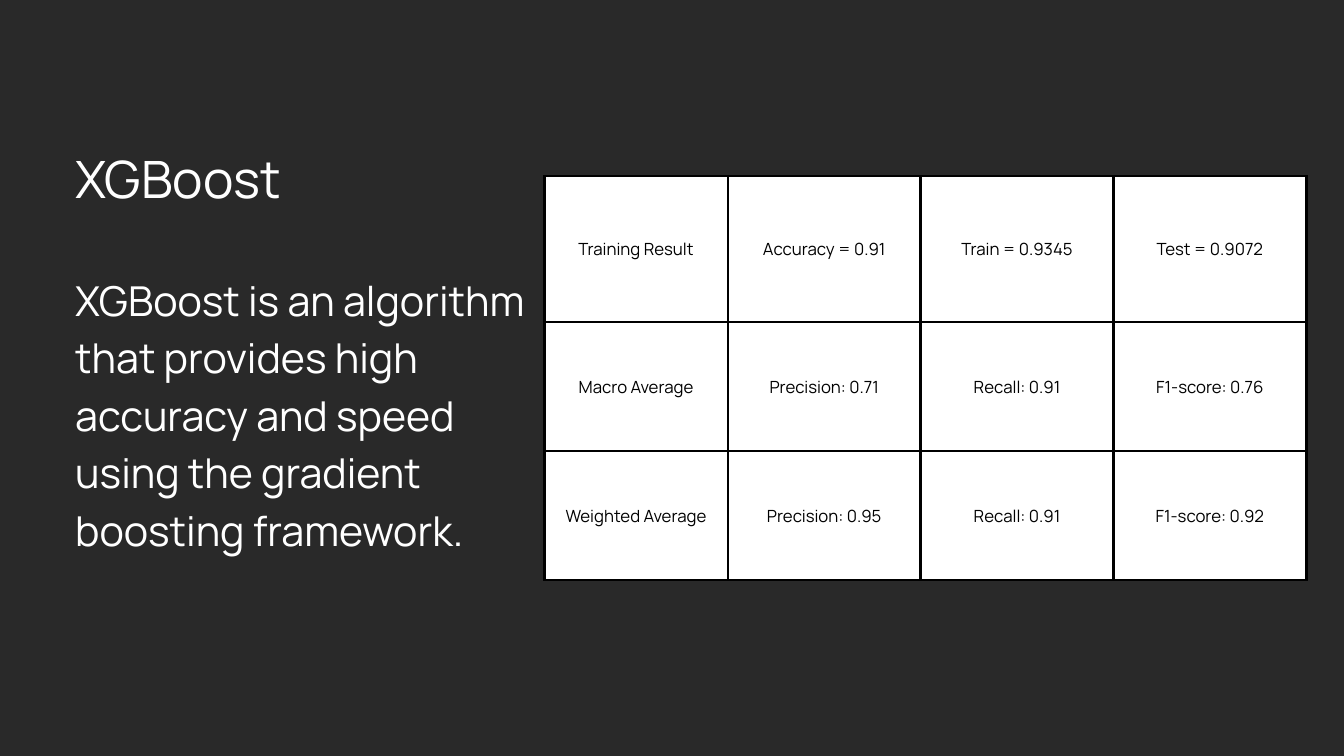
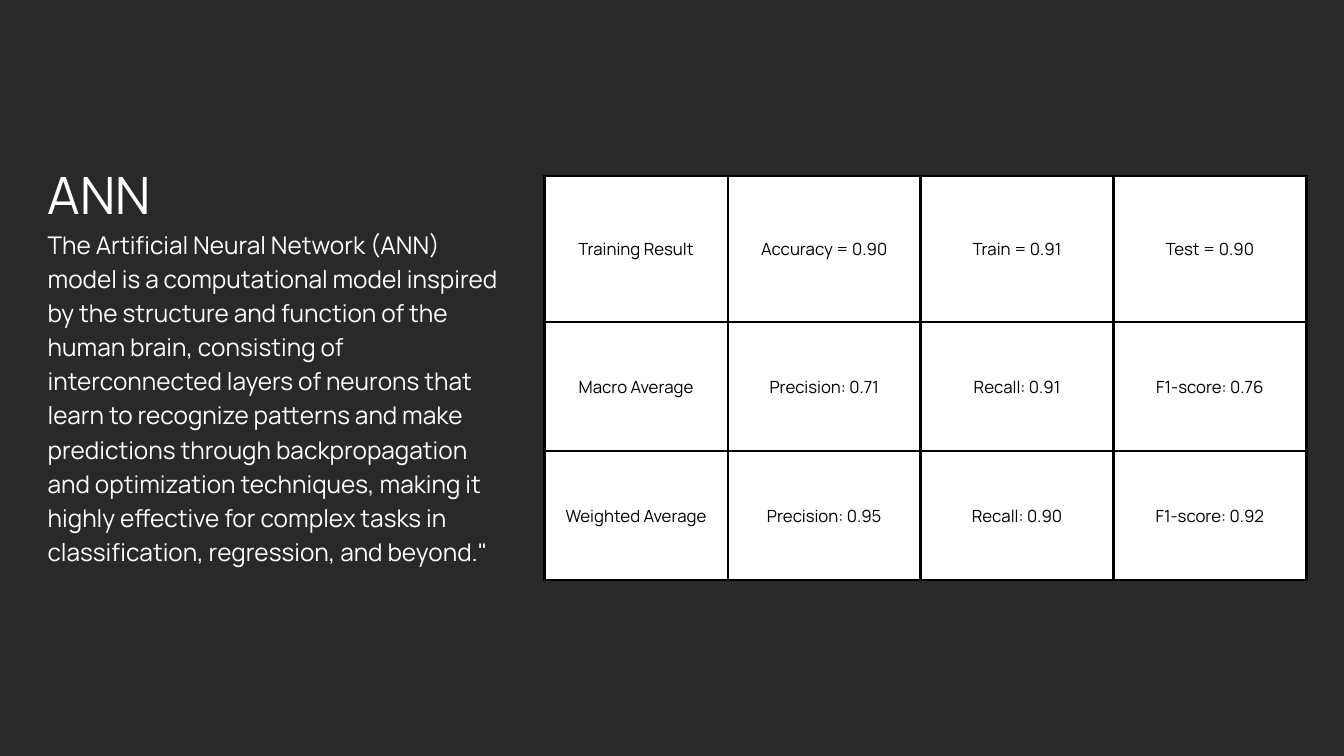
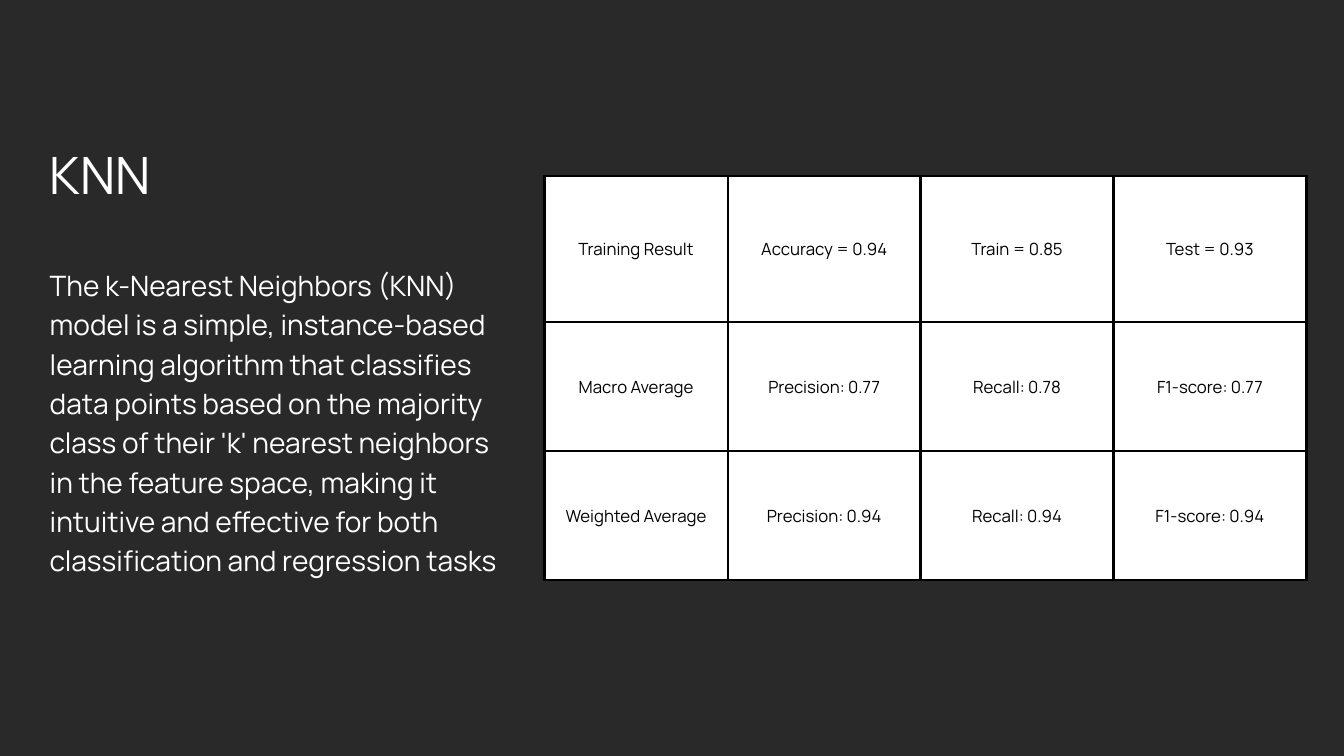
from lxml import etree
from pptx import Presentation
from pptx.dml.color import RGBColor
from pptx.enum.text import MSO_ANCHOR, MSO_AUTO_SIZE, PP_ALIGN
from pptx.oxml.ns import qn
from pptx.util import Inches, Pt

MIDDLE = MSO_ANCHOR.MIDDLE
GROW = MSO_AUTO_SIZE.SHAPE_TO_FIT_TEXT
LEFT, CENTER = PP_ALIGN.LEFT, PP_ALIGN.CENTER

COLORS = {"background": "292929", "text": "FFFFFF", "cell": "FFFFFF",
          "cell_text": "000000", "border": "000000"}
FONT = "Manrope"
LEADING = 1.4
TITLE_SIZE = 55.1
CELL_SIZE = 18
TITLE_GAP = 61.7
DESCRIPTION_WIDTH = 6.77

TABLE_BOX = (8.1, 2.62, 11.33, 6.01)
COLUMN_WIDTHS = [2.73, 2.87, 2.87, 2.87]
ROW_HEIGHTS = [2.17, 1.92, 1.92]
CELL_MARGIN = 0.21
BORDER_WIDTH = 3

ROW_LABELS = ["Training Result", "Macro Average", "Weighted Average"]
METRIC_FORMATS = [
    ["Accuracy = {}", "Train = {}", "Test = {}"],
    ["Precision: {}", "Recall: {}", "F1-score: {}"],
    ["Precision: {}", "Recall: {}", "F1-score: {}"],
]

MODELS = [
    {
        "title": "XGBoost",
        "description": "XGBoost is an algorithm that provides high accuracy and speed "
                       "using the gradient boosting framework.",
        "size": 44.1, "gap": TITLE_GAP, "left": 1.12, "top": 2.04, "height": 7.03,
        "scores": [["0.91", "0.9345", "0.9072"],
                   ["0.71", "0.91", "0.76"],
                   ["0.95", "0.91", "0.92"]],
    },
    {
        "title": "ANN",
        "description": "The Artificial Neural Network (ANN) model is a computational model "
                       "inspired by the structure and function of the human brain, "
                       "consisting of interconnected layers of neurons that learn to "
                       "recognize patterns and make predictions through backpropagation "
                       "and optimization techniques, making it highly effective for "
                       "complex tasks in classification, regression, and beyond.\"",
        "size": 26.1, "gap": 0, "left": 0.71, "top": 2.28, "height": 6.57,
        "scores": [["0.90", "0.91", "0.90"],
                   ["0.71", "0.91", "0.76"],
                   ["0.95", "0.90", "0.92"]],
    },
    {
        "title": "KNN",
        "description": "The k-Nearest Neighbors (KNN) model is a simple, instance-based "
                       "learning algorithm that classifies data points based on the "
                       "majority class of their 'k' nearest neighbors in the feature "
                       "space, making it intuitive and effective for both "
                       "classification and regression tasks",
        "size": 30.1, "gap": TITLE_GAP, "left": 0.74, "top": 1.98, "height": 7.17,
        "scores": [["0.94", "0.85", "0.93"],
                   ["0.77", "0.78", "0.77"],
                   ["0.94", "0.94", "0.94"]],
    },
]


def color(name):
    return RGBColor.from_string(COLORS[name])


def write(paragraph, text, size, color_name, alignment):
    paragraph.text = text
    paragraph.alignment = alignment
    paragraph.line_spacing = Pt(size * LEADING)
    font = paragraph.runs[0].font
    font.name = FONT
    font.size = Pt(size)
    font.color.rgb = color(color_name)


def add_borders(cell):
    properties = cell._tc.get_or_add_tcPr()
    for side in ("a:lnL", "a:lnR", "a:lnT", "a:lnB"):
        line = etree.SubElement(properties, qn(side), w=str(Pt(BORDER_WIDTH)))
        fill = etree.SubElement(line, qn("a:solidFill"))
        etree.SubElement(fill, qn("a:srgbClr"), val=COLORS["border"])


def format_cell(cell, text):
    add_borders(cell)
    cell.fill.solid()
    cell.fill.fore_color.rgb = color("cell")
    cell.vertical_anchor = MIDDLE
    cell.margin_left = cell.margin_right = Inches(CELL_MARGIN)
    cell.margin_top = cell.margin_bottom = Inches(CELL_MARGIN)
    write(cell.text_frame.paragraphs[0], text, CELL_SIZE, "cell_text", CENTER)


def add_score_table(slide, scores):
    box = [Inches(length) for length in TABLE_BOX]
    table = slide.shapes.add_table(len(ROW_HEIGHTS), len(COLUMN_WIDTHS), *box).table
    table.first_row = table.horz_banding = False
    for column, width in zip(table.columns, COLUMN_WIDTHS):
        column.width = Inches(width)
    for row, height, label, formats, values in zip(
            table.rows, ROW_HEIGHTS, ROW_LABELS, METRIC_FORMATS, scores):
        row.height = Inches(height)
        metrics = [form.format(value) for form, value in zip(formats, values)]
        for cell, text in zip(row.cells, [label] + metrics):
            format_cell(cell, text)


def add_description(slide, model):
    shape = slide.shapes.add_textbox(Inches(model["left"]), Inches(model["top"]),
                                     Inches(DESCRIPTION_WIDTH), Inches(model["height"]))
    frame = shape.text_frame
    frame.word_wrap = True
    frame.auto_size = GROW
    frame.margin_left = frame.margin_right = frame.margin_top = frame.margin_bottom = 0
    title = frame.paragraphs[0]
    write(title, model["title"], TITLE_SIZE, "text", LEFT)
    title.space_after = Pt(model["gap"])
    write(frame.add_paragraph(), model["description"], model["size"], "text", LEFT)


def main():
    presentation = Presentation()
    presentation.slide_width = Inches(20)
    presentation.slide_height = Inches(11.25)
    blank_layout = presentation.slide_layouts[6]
    for model in MODELS:
        slide = presentation.slides.add_slide(blank_layout)
        slide.background.fill.solid()
        slide.background.fill.fore_color.rgb = color("background")
        add_score_table(slide, model["scores"])
        add_description(slide, model)
    presentation.save("out.pptx")


if __name__ == "__main__":
    main()
